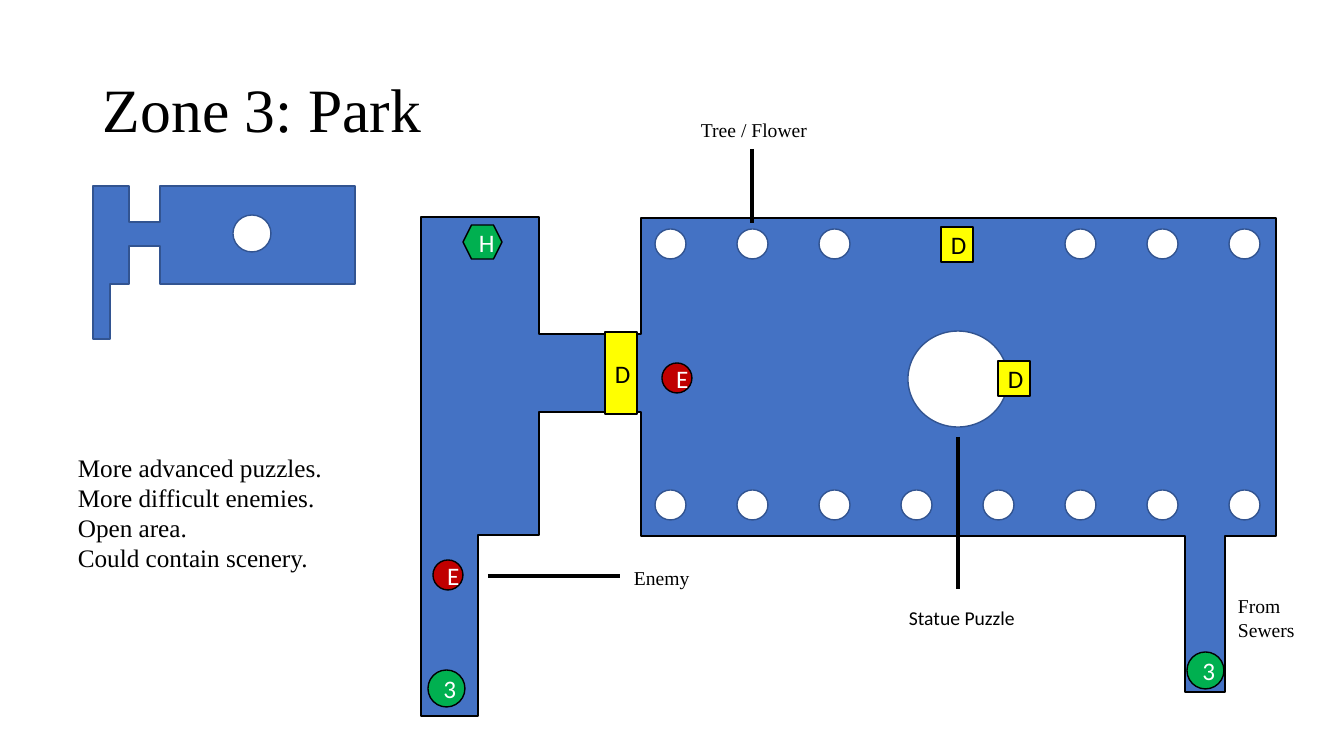
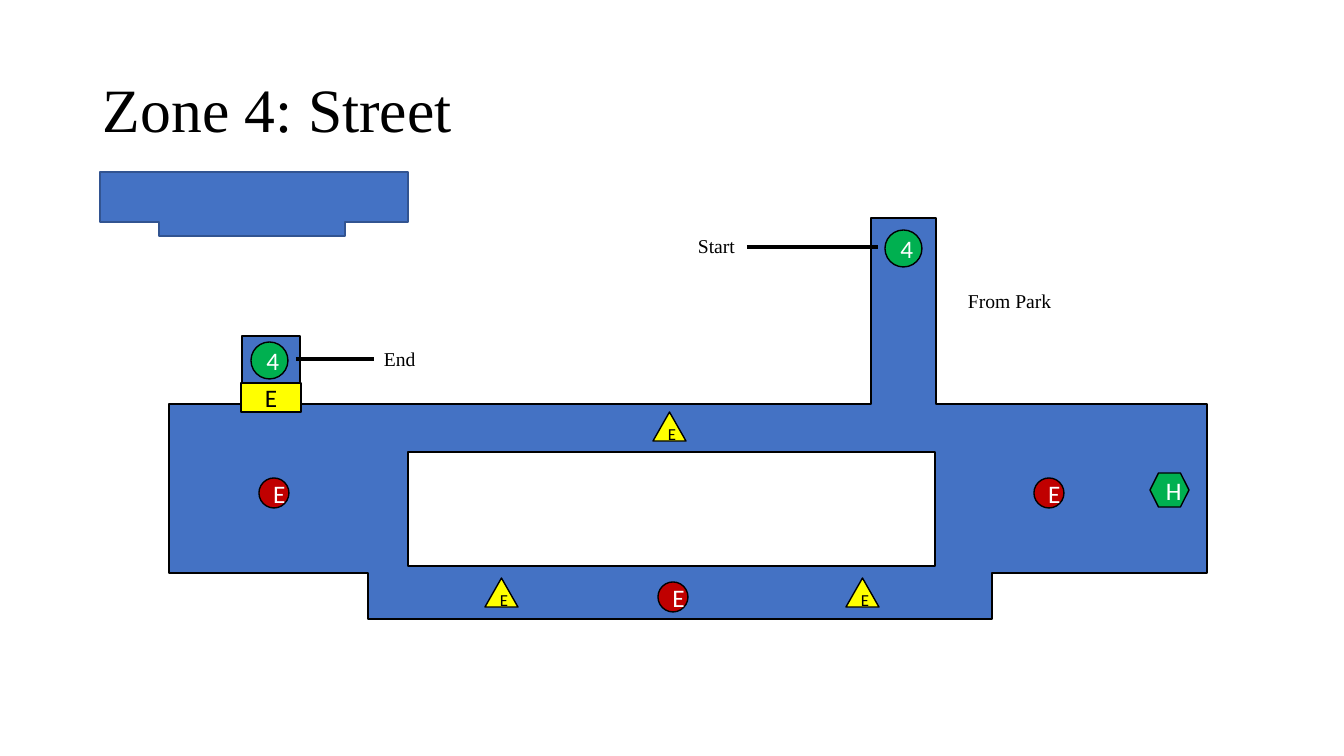
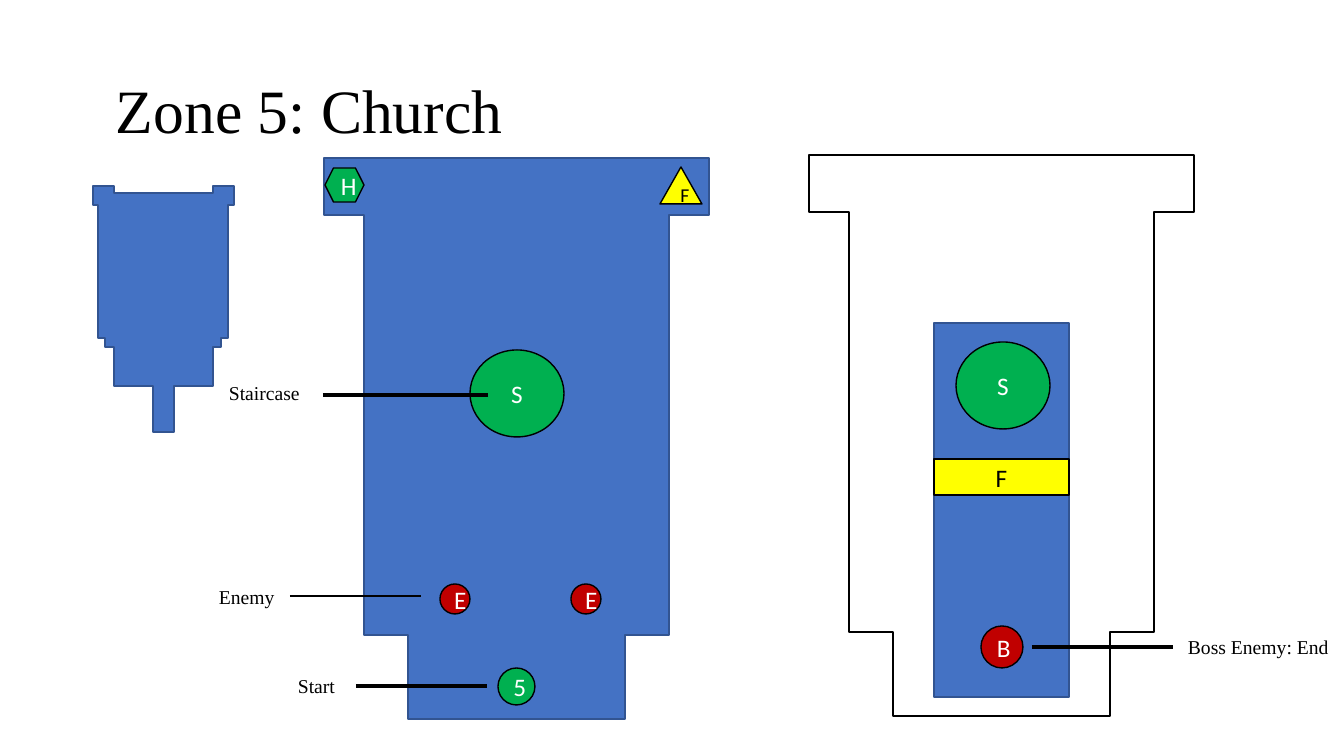
from dataclasses import dataclass
from pptx import Presentation
from pptx.dml.color import RGBColor
from pptx.enum.shapes import MSO_CONNECTOR as Link, MSO_SHAPE as Form
from pptx.enum.text import MSO_ANCHOR as Anchor, MSO_AUTO_SIZE as Fit, PP_ALIGN as Align
from pptx.oxml.ns import qn
from pptx.util import Pt
from lxml import etree

SCALE = 914400 / 100.8


def emu(*vals):
    return [round(v * SCALE) for v in vals]


@dataclass(frozen=True)
class Theme:
    blue: str = "4472C4"
    edge: str = "325491"
    ink: str = "000000"
    paper: str = "FFFFFF"
    red: str = "C00000"
    green: str = "00B050"
    yellow: str = "FFFF00"
    serif: str = "Times New Roman"
    sans: str = "Calibri"
    title: int = 44
    body: int = 18
    label: int = 14
    small: int = 12
    thin: float = 1
    mid: float = 1.5
    thick: float = 2.25


T = Theme()

# Map symbols: form, width, height, fill, text colour, text size
KINDS = {
    "foe": (Form.OVAL, 30, 30, T.red, T.paper, T.body),
    "boss": (Form.OVAL, 42, 42, T.red, T.paper, T.body),
    "gate": (Form.OVAL, 37, 37, T.green, T.paper, T.body),
    "stairs": (Form.OVAL, 94, 87, T.green, T.paper, T.body),
    "heal": (Form.HEXAGON, 39, 34, T.green, T.paper, T.body),
    "door": (Form.RECTANGLE, 32, 35, T.yellow, T.ink, T.body),
    "key": (Form.ISOSCELES_TRIANGLE, 33, 29, T.yellow, T.ink, T.small),
    "prize": (Form.ISOSCELES_TRIANGLE, 42, 37, T.yellow, T.ink, T.label),
}


def apply(obj, **vals):
    for name, val in vals.items():
        setattr(obj, name, val)


def write(frame, text, size, color=T.ink, face=T.serif, **form):
    frame.text = text
    for para in frame.paragraphs:
        apply(para, **form)
        apply(para.font, size=Pt(size), name=face)
        para.font.color.rgb = RGBColor.from_string(color)


def stroke(line, color, width):
    line.color.rgb = RGBColor.from_string(color)
    line.width = Pt(width)


def paint(shape, fill, edge):
    shape.shadow.inherit = False
    if fill:
        shape.fill.solid()
        shape.fill.fore_color.rgb = RGBColor.from_string(fill)
    else:
        shape.fill.background()
    stroke(shape.line, edge, T.thin)


class Area:
    """A region of a slide; all places are relative to its corner."""

    def __init__(self, slide, left, top):
        self.shapes, self.left, self.top = slide.shapes, left, top

    def box(self, x, y, w, h):
        return emu(self.left + x, self.top + y, w, h)

    def plan(self, turns, fill=T.blue, edge=T.edge):
        # Each turn is a corner; the wall then runs level to the next x
        ends = turns[1:] + turns[:1]
        dots = [p for (x, y), (nx, _) in zip(turns, ends) for p in ((x, y), (nx, y))]
        path = self.shapes.build_freeform(*dots[0], scale=SCALE)
        path.add_line_segments(dots[1:], close=True)
        paint(path.convert_to_shape(*emu(self.left, self.top)), fill, edge)

    def form(self, kind, x, y, w, h, fill=T.paper, edge=T.edge):
        shape = self.shapes.add_shape(kind, *self.box(x, y, w, h))
        paint(shape, fill, edge)
        return shape

    def mark(self, kind, text, x, y, size=None):
        form, w, h, fill, color, points = KINDS[kind]
        shape = self.form(form, x, y, *(size or (w, h)), fill, T.ink)
        write(shape.text_frame, text, points, color, T.sans, alignment=Align.CENTER)

    def text(self, text, x, y, w, h=34, size=T.label, face=T.serif, wrap=False):
        frame = self.shapes.add_textbox(*self.box(x, y, w, h)).text_frame
        apply(frame, word_wrap=wrap, auto_size=Fit.SHAPE_TO_FIT_TEXT)
        write(frame, text, size, face=face)

    def line(self, x, y, w=0, h=0, width=T.thick):
        ends = emu(self.left + x, self.top + y, self.left + x + w, self.top + y + h)
        link = self.shapes.add_connector(Link.STRAIGHT, *ends)
        stroke(link.line, T.ink, width)
        etree.SubElement(link._element.spPr, qn("a:effectLst"))


def page(deck, title, left=93, top=40):
    slide = deck.slides.add_slide(deck.slide_layouts[6])
    frame = slide.shapes.add_textbox(*emu(left, top, 1159, 146)).text_frame
    apply(frame, word_wrap=True, vertical_anchor=Anchor.MIDDLE)
    write(frame, title, T.title, line_spacing=0.9)
    return slide


def inset(slide, left, top, turns):
    area = Area(slide, left, top)
    area.plan(turns)
    return area


# Zone 3
def park(slide, left, top):
    area = Area(slide, left, top)
    area.plan([(0, 0), (118, 117), (220, 1), (855, 319), (804, 475),
               (764, 319), (220, 195), (118, 318), (57, 499)], edge=T.ink)
    area.form(Form.OVAL, 487, 114, 100, 96)
    # Rows of trees, with a gap for the top door
    for y, cols in ((12, (0, 1, 2, 5, 6, 7)), (273, range(8))):
        for col in cols:
            area.form(Form.OVAL, 234 + 82 * col, y, 31, 30)
    area.mark("door", "D", 184, 115, (32, 82))
    for x, y in ((577, 144), (520, 10)):
        area.mark("door", "D", x, y)
    for x, y in ((241, 146), (12, 343)):
        area.mark("foe", "E", x, y)
    for x, y in ((766, 435), (7, 453)):
        area.mark("gate", "3", x, y)
    area.mark("heal", "H", 42, 8)
    # Labels
    area.line(67, 359, w=132)
    area.text("Enemy", 203, 344, 77)
    area.line(331, -68, h=74)
    area.text("Tree / Flower", 270, -104, 127)
    area.line(537, 220, h=152)
    area.text("Statue Puzzle", 478, 384, 127, face=T.sans)
    area.text("From\nSewers", 807, 372, 78, 57)


def notes(slide, left, top):
    Area(slide, left, top).text(
        "More advanced puzzles.\nMore difficult enemies.\nOpen area.\n"
        "Could contain scenery.", 0, 0, 322, 132, T.body, wrap=True)


# Zone 4
def street(slide, left, top):
    area = Area(slide, left, top)
    area.plan([(702, 0), (767, 186), (1038, 355), (823, 401),
               (199, 355), (0, 186), (73, 118), (131, 186)], edge=T.ink)
    area.form(Form.RECTANGLE, 239, 234, 527, 114, edge=T.ink)
    for x, y in ((865, 260), (489, 364), (90, 260)):
        area.mark("foe", "E", x, y)
    for x, y in ((484, 194), (677, 360), (316, 360)):
        area.mark("key", "E", x, y)
    for x, y in ((82, 124), (716, 12)):
        area.mark("gate", "4", x, y)
    area.mark("heal", "H", 981, 255)
    area.mark("door", "E", 72, 165, (60, 29))
    # Labels
    area.line(578, 29, w=131)
    area.text("Start", 519, 11, 57)
    area.line(127, 141, w=78)
    area.text("End", 205, 124, 52)
    area.text("From Park", 789, 66, 104)


# Zone 5
NAVE = [(0, 0), (385, 57), (345, 477), (301, 561), (84, 477), (40, 57)]


def church(slide, left, top):
    area = Area(slide, left, top)
    area.plan(NAVE)
    for x in (116, 247):
        area.mark("foe", "E", x, 426)
    area.mark("stairs", "S", 146, 192)
    area.mark("heal", "H", 1, 10)
    area.mark("prize", "F", 336, 9)
    area.mark("gate", "5", 174, 510)
    # Labels
    area.line(-1, 237, w=165)
    area.text("Staircase", -105, 218, 92)
    area.line(-34, 438, w=131, width=T.mid)
    area.text("Enemy", -115, 422, 77)
    area.line(32, 528, w=131)
    area.text("Start", -36, 511, 57)


def crypt(slide, left, top):
    area = Area(slide, left, top)
    area.plan(NAVE, fill=None, edge=T.ink)
    area.form(Form.RECTANGLE, 125, 168, 135, 374, T.blue)
    area.mark("stairs", "S", 147, 187)
    area.mark("door", "F", 125, 304, (135, 36))
    area.mark("boss", "B", 172, 471)
    area.line(223, 492, w=141)
    area.text("Boss Enemy: End", 369, 475, 162)


deck = Presentation()
deck.slide_width, deck.slide_height = emu(1344, 756)

slide = page(deck, "Zone 3: Park")
park(slide, 421, 217)
small = inset(slide, 93, 186, [(0, 0), (36, 36), (67, 0), (262, 98),
                               (67, 60), (36, 98), (17, 153)])
small.form(Form.OVAL, 140, 29, 38, 37)
notes(slide, 68, 447)

slide = page(deck, "Zone 4: Street")
street(slide, 169, 218)
inset(slide, 100, 172, [(0, 0), (308, 50), (245, 64), (59, 50)])

slide = page(deck, "Zone 5: Church", 106, 41)
inset(slide, 93, 186, [(0, 0), (21, 7), (120, 0), (141, 19), (135, 152), (128, 161),
                       (120, 200), (81, 246), (60, 200), (21, 161), (12, 152), (5, 19)])
church(slide, 324, 158)
crypt(slide, 809, 155)

deck.save("out.pptx")
